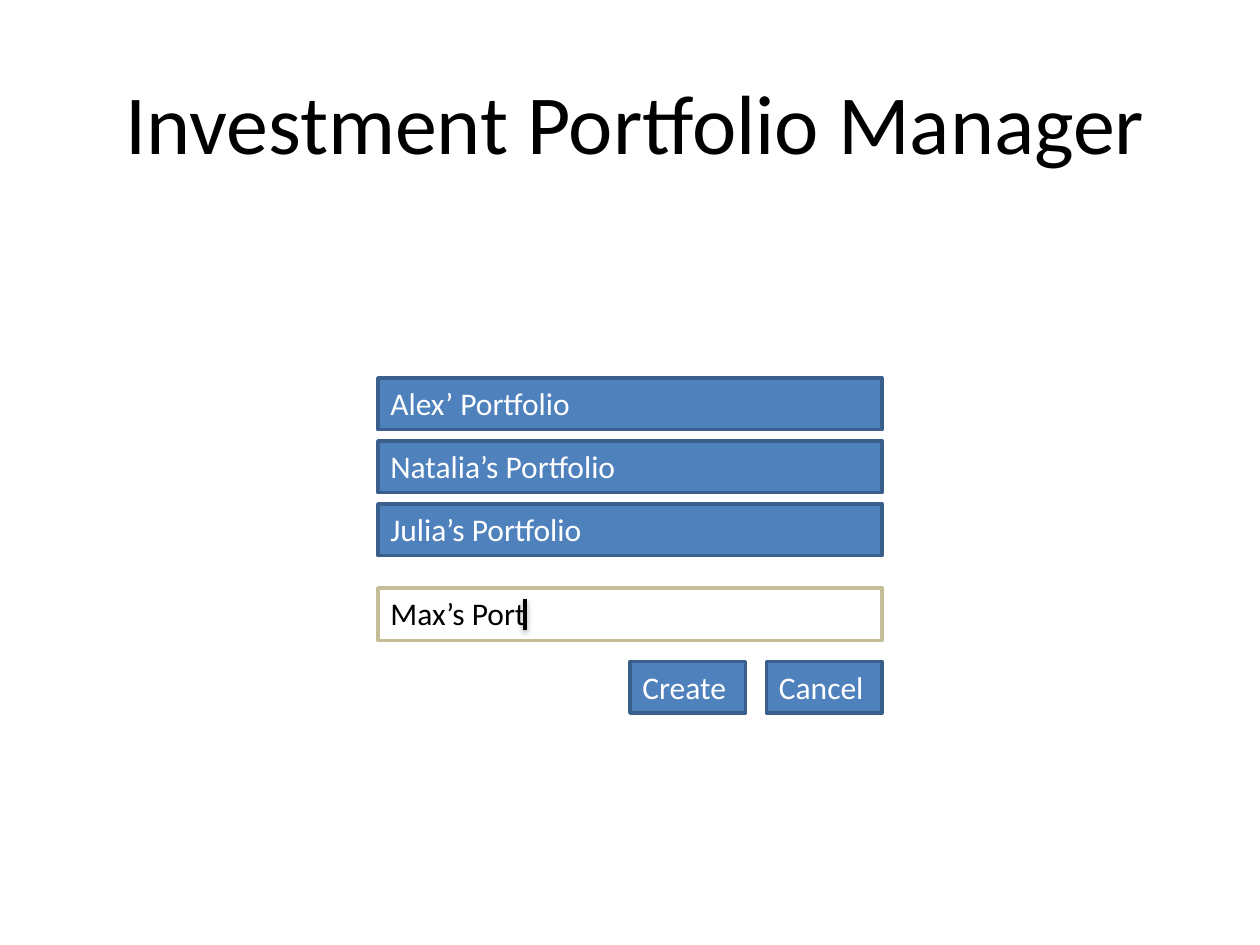
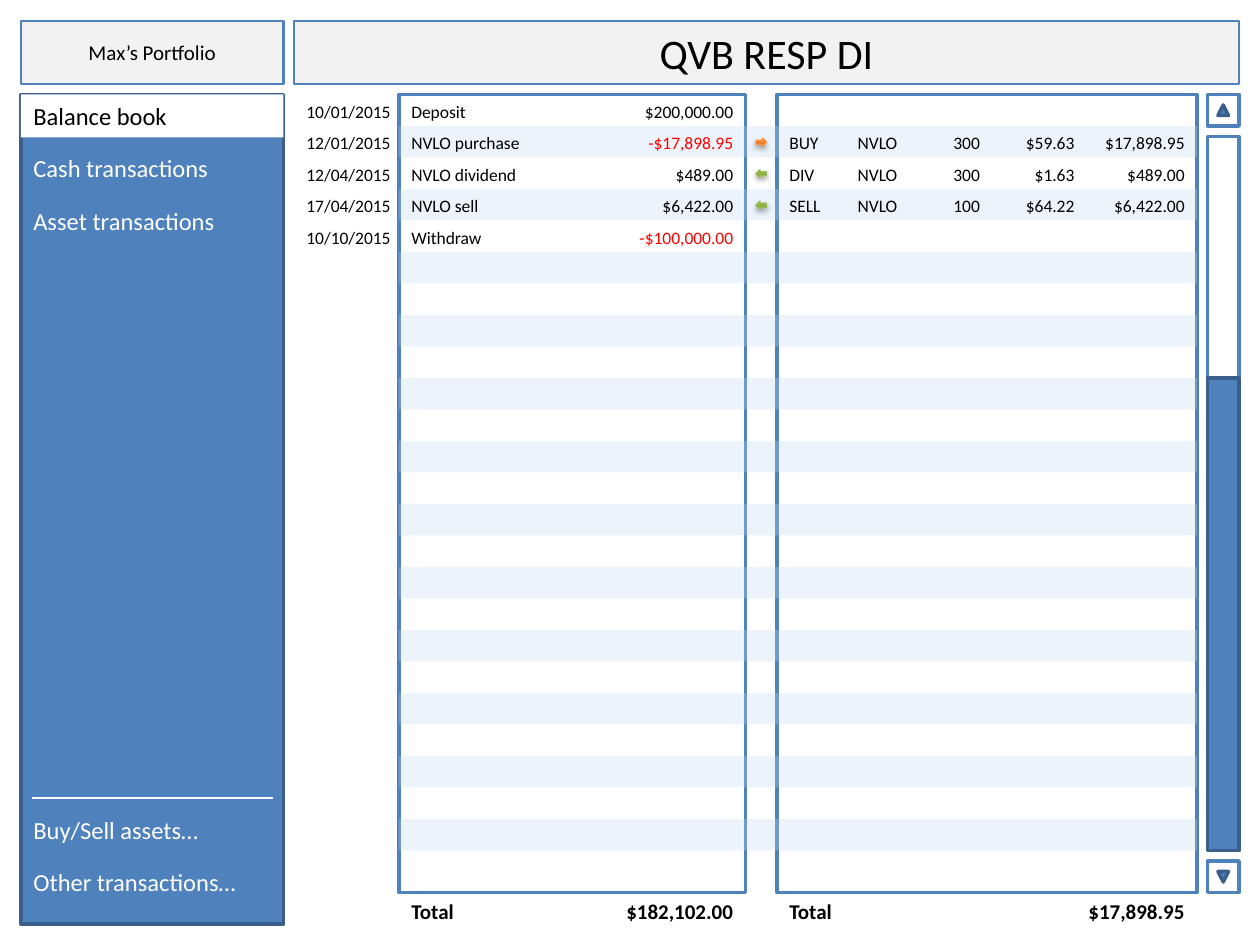
from dataclasses import dataclass
from typing import NamedTuple, Optional

from lxml.etree import SubElement
from pptx import Presentation
from pptx.dml.color import RGBColor
from pptx.enum.shapes import MSO_CONNECTOR, MSO_SHAPE
from pptx.enum.text import MSO_ANCHOR, MSO_AUTO_SIZE, PP_ALIGN
from pptx.oxml.ns import qn
from pptx.util import Pt


@dataclass(frozen=True)
class Theme:
    font: str = "Calibri"
    blue: str = "4F81BD"
    dark_blue: str = "3A5F8C"
    stripe: str = "C6D9F1"
    header: str = "F2F2F2"
    tan: str = "C4BD97"
    white: str = "FFFFFF"
    black: str = "000000"
    red: str = "FF0000"
    outgoing: tuple = ("CC6E20", "FF9034", "F69240")  # gradient start, end, line
    incoming: tuple = ("779737", "9BC348", "98B955")
    cover_size: int = 48
    title_size: int = 24
    field_size: int = 18
    menu_size: int = 14
    label_size: int = 12
    row_size: int = 10
    border: float = 2
    thin: float = 1.5


THEME = Theme()


class Box(NamedTuple):
    """Left, top, width and height in points."""
    left: float
    top: float
    width: float
    height: float

    def lengths(self) -> list:
        return [Pt(value) for value in self]


class Column(NamedTuple):
    left: float
    width: float
    align: PP_ALIGN = PP_ALIGN.LEFT


class Entry(NamedTuple):
    date: str
    description: str
    amount: str
    trade: tuple = ()  # kind, symbol, quantity, price, value


def color(value: str) -> RGBColor:
    return RGBColor.from_string(value)


def write(shape, text: str, size: float, ink: str, align=PP_ALIGN.LEFT,
          bold: bool = False, grow: bool = True) -> None:
    frame = shape.text_frame
    frame.word_wrap = True
    frame.auto_size = MSO_AUTO_SIZE.SHAPE_TO_FIT_TEXT if grow else MSO_AUTO_SIZE.NONE
    frame.vertical_anchor = MSO_ANCHOR.TOP if grow else MSO_ANCHOR.MIDDLE
    frame.text = text
    paragraph = frame.paragraphs[0]
    paragraph.alignment = align
    paragraph.font.name = THEME.font
    paragraph.font.size = Pt(size)
    paragraph.font.bold = bold
    paragraph.font.color.rgb = color(ink)


def paint(shape, fill: str, line: Optional[str], weight: float = THEME.border) -> None:
    shape.fill.solid()
    shape.fill.fore_color.rgb = color(fill)
    if line:
        shape.line.color.rgb = color(line)
        shape.line.width = Pt(weight)
    else:
        shape.line.fill.background()


def add_box(slide, box: Box, fill: str, line: Optional[str] = None,
            weight: float = THEME.border, kind=MSO_SHAPE.RECTANGLE):
    shape = slide.shapes.add_shape(kind, *box.lengths())
    shape.shadow.inherit = False
    paint(shape, fill, line, weight)
    return shape


def add_label(slide, box: Box, text: str, size: float, ink: str = THEME.black,
              align=PP_ALIGN.LEFT, bold: bool = False) -> None:
    write(slide.shapes.add_textbox(*box.lengths()), text, size, ink, align, bold)


def add_field(slide, box: Box, text: str, fill: str = THEME.blue,
              line: str = THEME.dark_blue, ink: str = THEME.white) -> None:
    write(add_box(slide, box, fill, line), text, THEME.field_size, ink)


def add_title(slide, box: Box, text: str, size: float, fill: str, line: str,
              weight: float) -> None:
    title = slide.shapes.title
    title.left, title.top, title.width, title.height = box.lengths()
    paint(title, fill, line, weight)
    write(title, text, size, THEME.black, PP_ALIGN.CENTER, grow=False)


def add_line(slide, start: tuple, end: tuple, ink: str, weight: float):
    line = slide.shapes.add_connector(
        MSO_CONNECTOR.STRAIGHT, *[Pt(value) for value in start + end])
    line.line.color.rgb = color(ink)
    line.line.width = Pt(weight)
    SubElement(line._element.spPr, qn("a:effectLst"))
    return line


def add_shadow(shape, distance: float, opacity: int) -> None:
    effects = shape._element.spPr.find(qn("a:effectLst"))
    shadow = SubElement(effects, qn("a:outerShdw"), blurRad=str(Pt(3.1)),
                        dist=str(Pt(distance)), dir="5400000", rotWithShape="0")
    tone = SubElement(shadow, qn("a:srgbClr"), val=THEME.black)
    SubElement(tone, qn("a:alpha"), val=str(opacity * 1000))


def add_stripe(slide, box: Box) -> None:
    stripe = add_box(slide, box, THEME.stripe)
    tone = stripe._element.spPr.find(qn("a:solidFill")).find(qn("a:srgbClr"))
    SubElement(tone, qn("a:alpha"), val="30000")


def add_flow_arrow(slide, row_top: float, outgoing: bool) -> None:
    kind = MSO_SHAPE.RIGHT_ARROW if outgoing else MSO_SHAPE.LEFT_ARROW
    start, end, line = THEME.outgoing if outgoing else THEME.incoming
    arrow = add_box(slide, Box(432, row_top + 7, 6, 4.5), end, line, 0.75, kind)
    arrow.fill.gradient()
    arrow.fill.gradient_angle = 90
    for stop, tone, position in zip(arrow.fill.gradient_stops, (start, end), (0, 0.8)):
        stop.color.rgb = color(tone)
        stop.position = position
    add_shadow(arrow, 1.8, 35)


# Shared measures of the ledger slide
TOP, ROW = 54, 18
SIDEBAR = Box(12, TOP, 150, 474)
CASH = Box(228, TOP, 198, 456)
ASSETS = Box(444, TOP, 240, 456)
RIGHT = PP_ALIGN.RIGHT
CASH_COLUMNS = (Column(168, 66), Column(228, 102), Column(354, 72, RIGHT))
TRADE_COLUMNS = (Column(444, 39), Column(483, 48), Column(525, 42, RIGHT),
                 Column(567, 54, RIGHT), Column(612, 72, RIGHT))
ENTRIES = (
    Entry("10/01/2015", "Deposit", "$200,000.00"),
    Entry("12/01/2015", "NVLO purchase", "-$17,898.95",
          ("BUY", "NVLO", "300", "$59.63", "$17,898.95")),
    Entry("12/04/2015", "NVLO dividend", "$489.00",
          ("DIV", "NVLO", "300", "$1.63", "$489.00")),
    Entry("17/04/2015", "NVLO sell", "$6,422.00",
          ("SELL", "NVLO", "100", "$64.22", "$6,422.00")),
    Entry("10/10/2015", "Withdraw", "-$100,000.00"),
)


def build_portfolio_list(slide) -> None:
    add_title(slide, Box(18, 18, 690, 102), "Investment Portfolio Manager",
              THEME.cover_size, THEME.white, THEME.white, THEME.border)

    # Existing portfolios
    for index, owner in enumerate(("Alex’", "Natalia’s", "Julia’s")):
        add_field(slide, Box(216, 216 + 36 * index, 288, 29.5), f"{owner} Portfolio")

    # Name being typed, with its cursor
    add_field(slide, Box(216, 336, 288, 30), "Max’s Port",
              THEME.white, THEME.tan, THEME.black)
    cursor = add_line(slide, (300, 342), (300, 360), THEME.black, THEME.border)
    add_shadow(cursor, 1.6, 38)

    # Buttons
    for left, caption in ((360, "Create"), (438, "Cancel")):
        add_field(slide, Box(left, 378, 66, 29.5), caption)


def build_sidebar(slide) -> None:
    add_box(slide, SIDEBAR, THEME.blue, THEME.dark_blue)
    owner = add_box(slide, Box(12, 12, 150, 36), THEME.header, THEME.blue, THEME.thin)
    write(owner, "Max’s Portfolio", THEME.label_size, THEME.black,
          PP_ALIGN.CENTER, grow=False)

    # Current menu item, then the others
    current = add_box(slide, Box(12, TOP, 150, 24.5), THEME.white)
    write(current, "Balance book", THEME.menu_size, THEME.black)
    for top, caption in ((84, "Cash transactions"), (114, "Asset transactions"),
                         (462, "Buy/Sell assets…"), (492, "Other transactions…")):
        add_label(slide, Box(12, top, 150, 24.5), caption, THEME.menu_size, THEME.white)
    add_line(slide, (18, 456), (156, 456), THEME.white, THEME.thin)


def build_scrollbar(slide) -> None:
    left = 690
    add_box(slide, Box(left, 78, ROW, 408), THEME.white, THEME.blue)
    for top, rotation in ((TOP, 0), (492, 180)):
        add_box(slide, Box(left, top, ROW, ROW), THEME.white, THEME.blue)
        arrow = add_box(slide, Box(left + 6, top + 6, 6, 6), THEME.blue,
                        THEME.dark_blue, kind=MSO_SHAPE.ISOSCELES_TRIANGLE)
        arrow.rotation = rotation
    add_box(slide, Box(left, 216, ROW, 270), THEME.blue, THEME.dark_blue)


def add_cells(slide, top: float, columns: tuple, texts: tuple) -> None:
    for column, text in zip(columns, texts):
        ink = THEME.red if text.startswith("-") else THEME.black
        add_label(slide, Box(column.left, top, column.width, 19.4), text,
                  THEME.row_size, ink, column.align)


def build_ledger(slide) -> None:
    add_title(slide, Box(168, 12, 540, 36), "QVB RESP DI", THEME.title_size,
              THEME.header, THEME.blue, THEME.thin)
    build_sidebar(slide)

    # Panels and the stripes across both
    for panel in (CASH, ASSETS):
        add_box(slide, panel, THEME.white, THEME.blue)
    span = ASSETS.left + ASSETS.width - CASH.left
    for index in range(12):
        add_stripe(slide, Box(CASH.left, TOP + ROW * (2 * index + 1), span, ROW))

    # Ledger rows
    for index, entry in enumerate(ENTRIES):
        top = TOP + ROW * index
        add_cells(slide, top, CASH_COLUMNS, entry[:3])
        if entry.trade:
            add_cells(slide, top, TRADE_COLUMNS, entry.trade)
            add_flow_arrow(slide, top, outgoing=entry.trade[0] == "BUY")

    # Totals
    for panel, total in ((CASH, "$182,102.00"), (ASSETS, "$17,898.95")):
        right_half = panel.left + panel.width - 102
        for left, text, align in ((panel.left, "Total", PP_ALIGN.LEFT),
                                  (right_half, total, RIGHT)):
            add_label(slide, Box(left, 510, 102, 21.8), text, THEME.label_size,
                      align=align, bold=True)
    build_scrollbar(slide)


def main() -> None:
    presentation = Presentation()
    presentation.slide_width, presentation.slide_height = Pt(720), Pt(540)
    title_only = presentation.slide_layouts[5]
    for build in (build_portfolio_list, build_ledger):
        build(presentation.slides.add_slide(title_only))
    presentation.save("out.pptx")


main()
